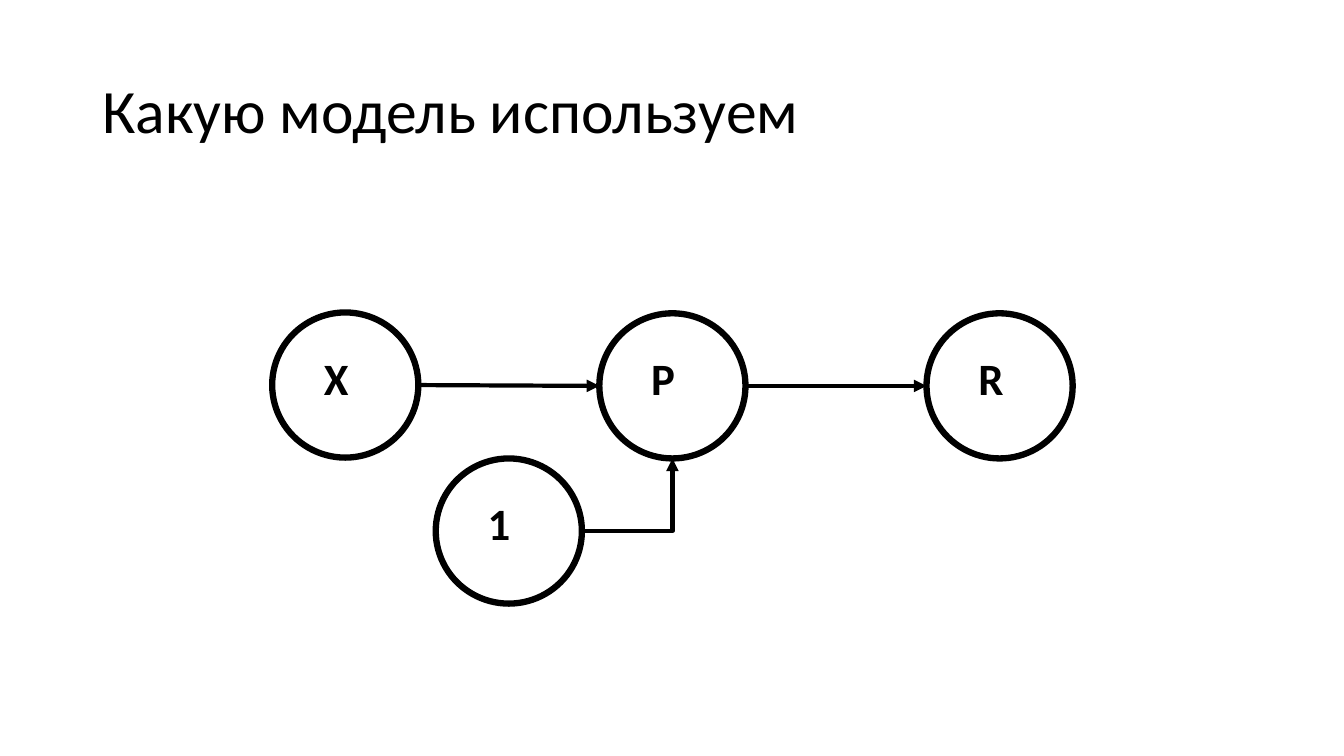
import pptx
import pptx.util
import pptx.dml.color
import pptx.enum.shapes
import pptx.enum.text
import pptx.oxml.ns
from lxml import etree

Pt = pptx.util.Pt
qn = pptx.oxml.ns.qn
BLACK = pptx.dml.color.RGBColor(0, 0, 0)
WHITE = pptx.dml.color.RGBColor(255, 255, 255)
FONT = "Calibri"

TITLE = "Какую модель используем"
# label: (column, row, drop of the circle)
NODES = {"X": (0, 0, 0), "P": (1, 0, 0.6), "1": (0.5, 1, 0.6), "R": (2, 0, 0.6)}
STRAIGHT_ARROWS = [("X", "P"), ("P", "R")]

LEFT, TOP = 194.4, 223.2
COL_STEP, ROW_STEP = 233.7, 103.7
CIRCLE_W, CIRCLE_H = 104.4, 103.7
LABEL_DX, LABEL_DY = 29.9, 23.8
LABEL_W, LABEL_H = 43.9, 57.6


def set_font(p, size, bold=False):
    p.font.name = FONT
    p.font.size = Pt(size)
    p.font.bold = bold
    p.font.color.rgb = BLACK


def circle_box(label):
    """Left and top of a node's circle."""
    col, row, drop = NODES[label]
    return LEFT + col * COL_STEP, TOP + row * ROW_STEP + drop


def right_side(label):
    x, y = circle_box(label)
    return x + CIRCLE_W, y + CIRCLE_H / 2


def left_side(label):
    x, y = circle_box(label)
    return x, y + CIRCLE_H / 2


def bottom_side(label):
    x, y = circle_box(label)
    return x + CIRCLE_W / 2, y + CIRCLE_H


def add_node(slide, label):
    x, y = circle_box(label)
    sp = slide.shapes.add_shape(pptx.enum.shapes.MSO_SHAPE.OVAL,
                                Pt(x), Pt(y), Pt(CIRCLE_W), Pt(CIRCLE_H))
    sp.shadow.inherit = False
    sp.fill.solid()
    sp.fill.fore_color.rgb = WHITE
    sp.line.color.rgb = BLACK
    sp.line.width = Pt(4.5)
    row = NODES[label][1]
    box = slide.shapes.add_textbox(Pt(x + LABEL_DX), Pt(TOP + row * ROW_STEP + LABEL_DY),
                                   Pt(LABEL_W), Pt(LABEL_H))
    tf = box.text_frame
    tf.word_wrap = True
    p = tf.paragraphs[0]
    p.text = label
    set_font(p, 32, bold=True)


def add_arrow(slide, kind, start, end):
    cxn = slide.shapes.add_connector(kind, *(Pt(v) for v in start + end))
    cxn.line.color.rgb = BLACK
    cxn.line.width = Pt(3)
    sp_pr = cxn._element.spPr
    etree.SubElement(sp_pr.find(qn("a:ln")), qn("a:tailEnd"), type="triangle")
    etree.SubElement(sp_pr, qn("a:effectLst"))
    return cxn


def main():
    prs = pptx.Presentation()
    prs.slide_width, prs.slide_height = Pt(960), Pt(540)
    slide = prs.slides.add_slide(prs.slide_layouts[5])

    title = slide.shapes.title
    title.left, title.top, title.width, title.height = Pt(66), Pt(28.8), Pt(828), Pt(104.4)
    tf = title.text_frame
    tf.vertical_anchor = pptx.enum.text.MSO_ANCHOR.MIDDLE
    p = tf.paragraphs[0]
    p.text = TITLE
    p.alignment = pptx.enum.text.PP_ALIGN.LEFT
    p.line_spacing = 0.9
    set_font(p, 44)

    for label in NODES:
        add_node(slide, label)

    connector = pptx.enum.shapes.MSO_CONNECTOR
    for source, target in STRAIGHT_ARROWS:
        add_arrow(slide, connector.STRAIGHT, right_side(source), left_side(target))
    bent = add_arrow(slide, connector.ELBOW, right_side("1"), bottom_side("P"))
    bent._element.spPr.find(qn("a:prstGeom")).set("prst", "bentConnector2")

    prs.save("out.pptx")


if __name__ == "__main__":
    main()
